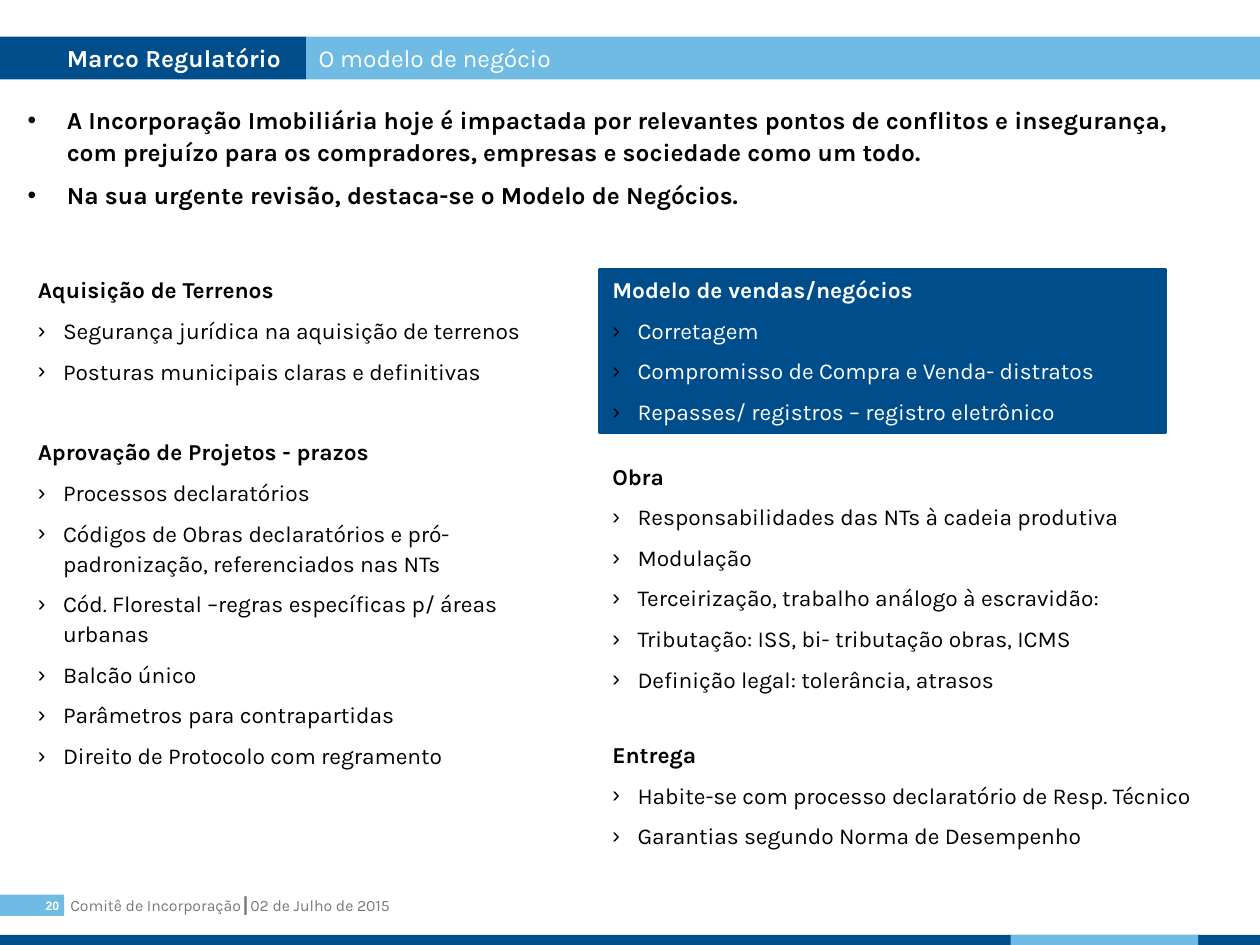
from lxml.etree import SubElement
from pptx import Presentation
from pptx.dml.color import RGBColor
from pptx.enum.shapes import MSO_SHAPE as Shape
from pptx.enum.text import MSO_ANCHOR as Anchor, MSO_AUTO_SIZE as AutoSize, PP_ALIGN as Align
from pptx.oxml.ns import qn
from pptx.util import Inches, Pt

COLORS = {"navy": "004D8C", "sky": "6FBBE4", "white": "FFFFFF", "black": "000000", "gray": "797979"}
FONT = "Karla"

INTRO = [
    "A Incorporação Imobiliária hoje é impactada por relevantes pontos de conflitos e insegurança, "
    "com prejuízo para os compradores, empresas e sociedade como um todo.",
    "Na sua urgente revisão, destaca-se o Modelo de Negócios.",
]
LAND_AND_APPROVAL = [
    ("Aquisição de Terrenos", [
        "Segurança jurídica na aquisição de terrenos",
        "Posturas municipais claras e definitivas",
    ]),
    ("Aprovação de Projetos - prazos", [
        "Processos declaratórios",
        "Códigos de Obras declaratórios e pró-padronização, referenciados nas NTs",
        "Cód. Florestal –regras específicas p/ áreas urbanas",
        "Balcão único",
        "Parâmetros para contrapartidas",
        "Direito de Protocolo com regramento",
    ]),
]
SALES_MODEL = [
    ("Modelo de vendas/negócios", [
        "Corretagem",
        "Compromisso de Compra e Venda- distratos",
        "Repasses/ registros – registro eletrônico",
    ]),
]
WORKS_AND_DELIVERY = [
    ("Obra", [
        "Responsabilidades das NTs à cadeia produtiva",
        "Modulação",
        "Terceirização, trabalho análogo à escravidão:",
        "Tributação: ISS, bi- tributação obras, ICMS",
        "Definição legal: tolerância, atrasos",
    ]),
    ("Entrega", [
        "Habite-se com processo declaratório de Resp. Técnico",
        "Garantias segundo Norma de Desempenho",
    ]),
]


def color(name):
    return RGBColor.from_string(COLORS[name])


def place(shape, left, top, width, height):
    box = {"left": left, "top": top, "width": width, "height": height}
    for name, value in box.items():
        setattr(shape, name, Inches(value))


def paint(shape, fill):
    shape.fill.solid()
    shape.fill.fore_color.rgb = color(fill)


def format_frame(frame, anchor=Anchor.TOP, **margins):
    settings = {"word_wrap": True, "auto_size": AutoSize.NONE, "vertical_anchor": anchor}
    for name, value in settings.items():
        setattr(frame, name, value)
    for side, value in margins.items():
        setattr(frame, f"margin_{side}", Inches(value))


def format_text(paragraph, size, ink, bold=False, font=FONT):
    values = {"name": font, "size": Pt(size), "bold": bold}
    for name, value in values.items():
        setattr(paragraph.font, name, value)
    paragraph.font.color.rgb = color(ink)


def set_bullet(paragraph, character=None, indent=0):
    properties = paragraph._p.get_or_add_pPr()
    properties.set("marL", str(Inches(indent)))
    properties.set("indent", str(-Inches(indent)))
    if character is None:
        SubElement(properties, qn("a:buNone"))
        return
    bullet_color = SubElement(properties, qn("a:buClr"))
    SubElement(bullet_color, qn("a:srgbClr")).set("val", COLORS["black"])
    SubElement(properties, qn("a:buFont")).set("typeface", "Arial")
    SubElement(properties, qn("a:buChar")).set("char", character)


def add_paragraph(frame, text, size, ink, bold, character=None, indent=0, spacing=1.1, gap=6):
    is_first = not frame.text
    paragraph = frame.paragraphs[0] if is_first else frame.add_paragraph()
    set_bullet(paragraph, character, indent)
    paragraph.text = text
    layout = {"alignment": Align.LEFT, "line_spacing": spacing,
              "space_before": Pt(0 if is_first else gap), "space_after": Pt(0)}
    for name, value in layout.items():
        setattr(paragraph, name, value)
    format_text(paragraph, size, ink, bold)


def fill_sections(shape, box, sections, ink="black", heading_spacing=1.0, section_gap=27.5):
    place(shape, *box)
    format_frame(shape.text_frame)
    for heading, items in sections:
        add_paragraph(shape.text_frame, heading, 13, ink, True,
                      spacing=heading_spacing, gap=section_gap)
        for item in items:
            add_paragraph(shape.text_frame, item, 13, ink, False, "›", 0.2)


def fill_intro(shape):
    place(shape, 0.12, 0.76, 9.61, 0.96)
    format_frame(shape.text_frame)
    for sentence in INTRO:
        add_paragraph(shape.text_frame, sentence, 14, "black", True, "•", 0.31)


def fill_title(title):
    place(title, 0, 0.29, 2.43, 0.34)
    paint(title, "navy")
    format_frame(title.text_frame, Anchor.MIDDLE, left=0.53, right=0.04, top=0, bottom=0)
    add_paragraph(title.text_frame, "Marco Regulatório", 14, "white", True, spacing=1.0)


def add_bar(slide, box, fill):
    bar = slide.shapes.add_shape(Shape.RECTANGLE, *map(Inches, box))
    paint(bar, fill)
    bar.line.fill.background()
    bar.shadow.inherit = False
    return bar


def add_footer(slide):
    committee = slide.shapes.add_textbox(*map(Inches, (0.46, 7.06, 7.3, 0.25)))
    format_frame(committee.text_frame)
    add_paragraph(committee.text_frame, "Comitê de Incorporação┃02 de Julho de 2015",
                  9, "gray", False, spacing=1.0)

    page = add_bar(slide, (0, 7.1, 0.51, 0.17), "sky")
    format_frame(page.text_frame, Anchor.MIDDLE, left=0, top=0, right=0.04, bottom=0)
    number = page.text_frame.paragraphs[0]
    number.text = "20"
    number.alignment = Align.RIGHT
    format_text(number, 7, "white", True, "Arial")

    add_bar(slide, (0, 7.42, 10, 0.08), "navy")
    add_bar(slide, (8.02, 7.42, 1.49, 0.08), "sky")


def main():
    presentation = Presentation()
    presentation.slide_width, presentation.slide_height = Inches(10), Inches(7.5)
    # The comparison layout has a title and four bodies
    slide = presentation.slides.add_slide(presentation.slide_layouts[4])
    title, intro, left, highlight, right = slide.placeholders

    # Header
    fill_title(title)
    subtitle = add_bar(slide, (2.43, 0.29, 7.57, 0.34), "sky")
    format_frame(subtitle.text_frame, Anchor.MIDDLE, top=0, bottom=0)
    add_paragraph(subtitle.text_frame, "O modelo de negócio", 14, "white", False, spacing=1.0)

    # Lists
    fill_intro(intro)
    fill_sections(left, (0.2, 2.12, 4.17, 4.07), LAND_AND_APPROVAL,
                  heading_spacing=1.1, section_gap=29)
    fill_sections(right, (4.76, 3.62, 5.08, 3.2), WORKS_AND_DELIVERY)

    # Highlighted list
    fill_sections(highlight, (4.76, 2.14, 4.49, 1.29), SALES_MODEL, "white")
    paint(highlight, "navy")
    highlight.line.color.rgb = color("navy")
    highlight.line.width = Pt(2.25)

    add_footer(slide)
    presentation.save("out.pptx")


if __name__ == "__main__":
    main()
